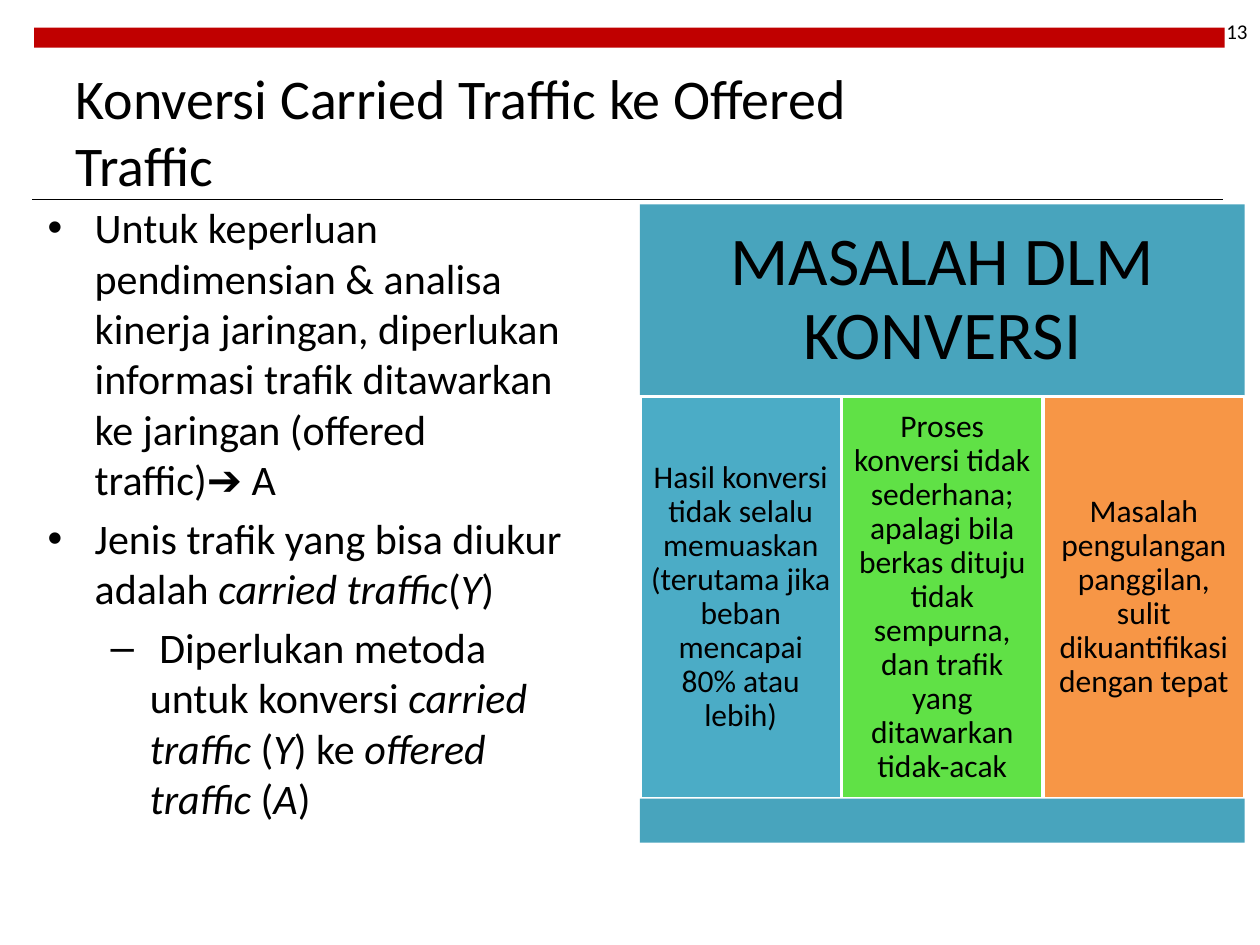
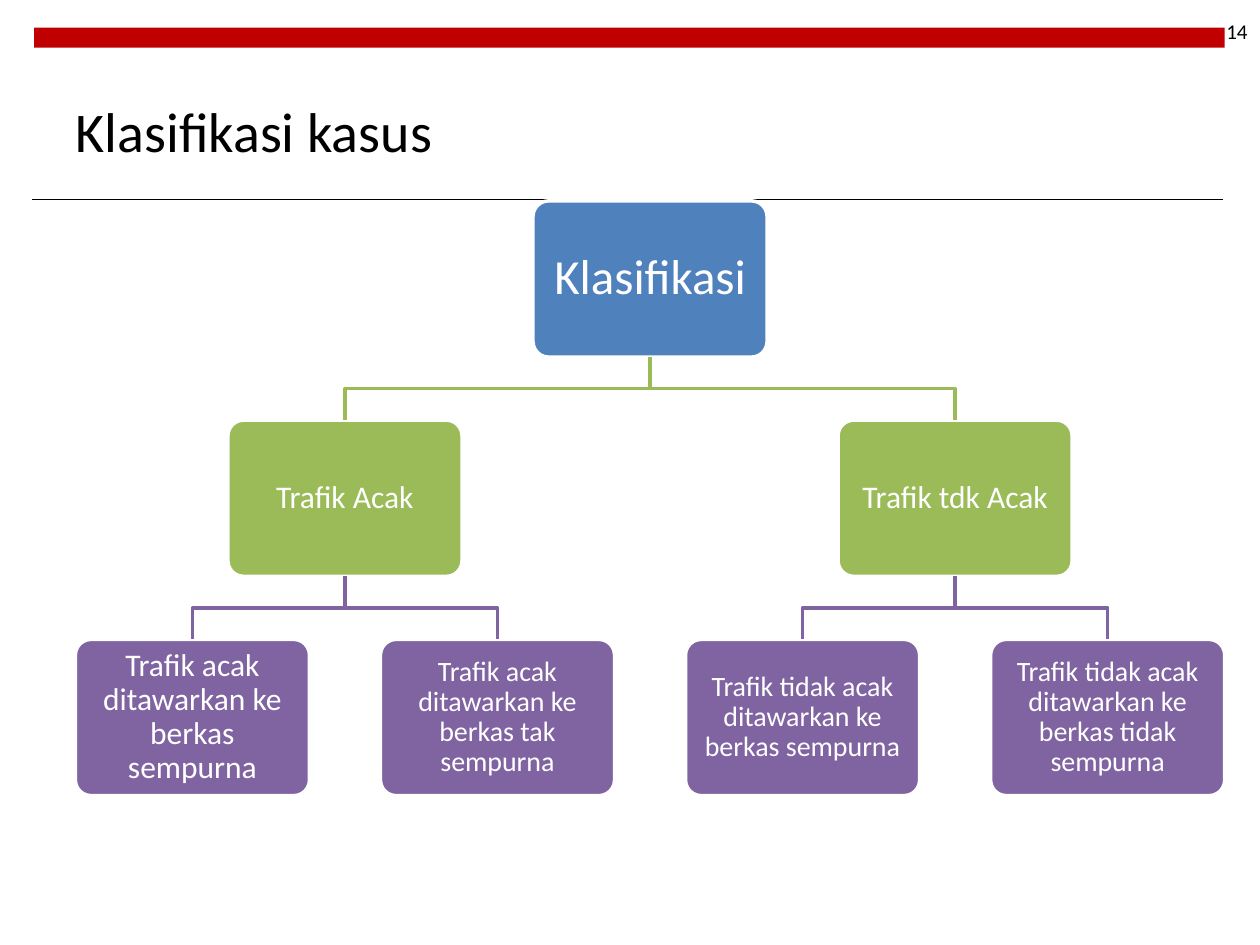
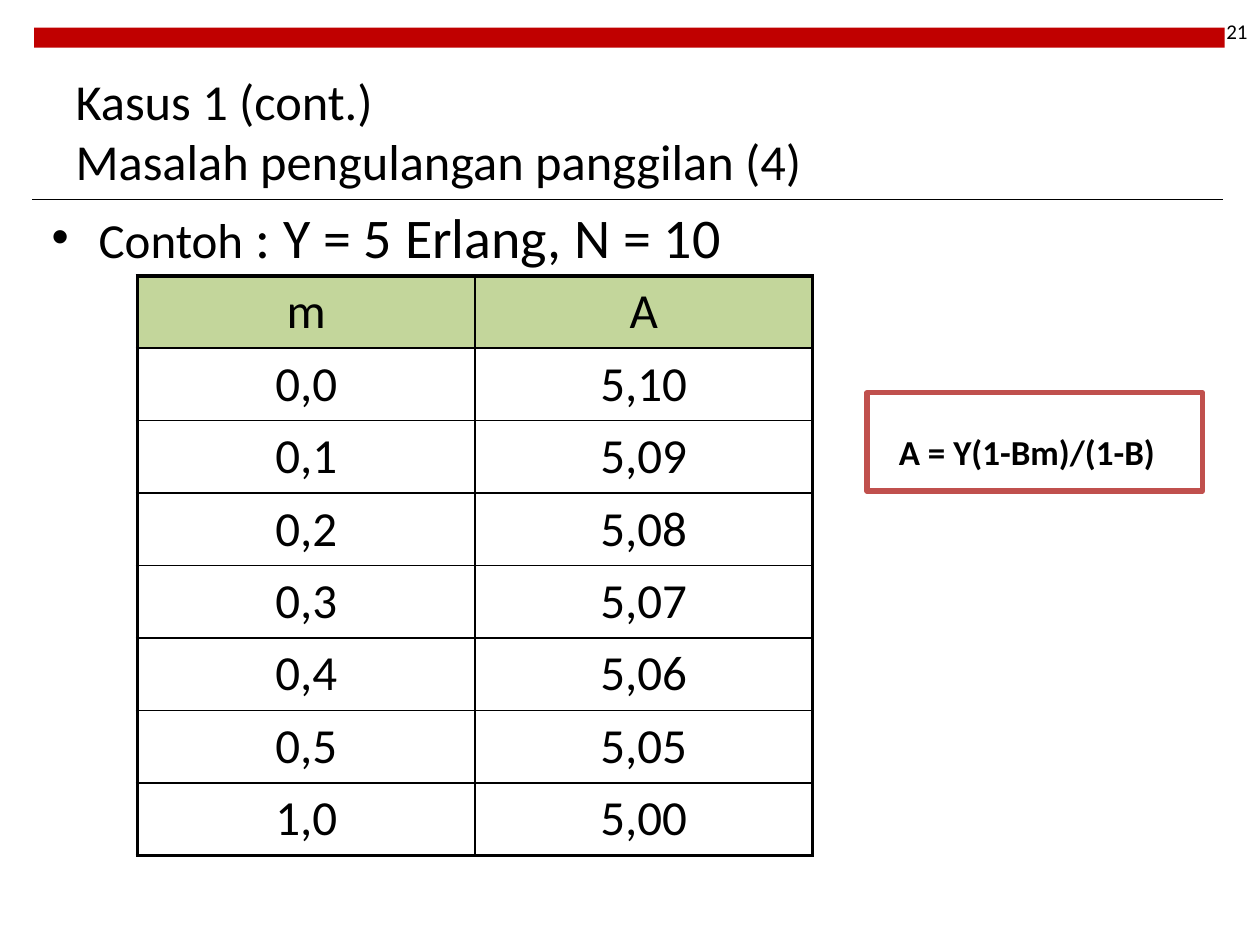
from pptx import Presentation
from pptx.dml.color import RGBColor
from pptx.enum.shapes import MSO_CONNECTOR, MSO_SHAPE
from pptx.enum.text import MSO_ANCHOR, MSO_AUTO_SIZE, PP_ALIGN
from pptx.oxml.ns import qn
from pptx.util import Cm, Pt
from lxml.etree import SubElement

FONT = "Calibri"
BLACK, WHITE = "000000", "FFFFFF"
RED, BRICK = "C00000", "C0504D"
TEAL, AQUA, LIME, ORANGE = "48A4BD", "4BACC6", "60E146", "F79646"
LEVEL_COLOURS = ["4F81BD", "9BBB59", "8064A2"]
HEADER_GREEN = "C3D69B"

NODE_WIDTH, NODE_HEIGHT = 4.72, 3.15
NODE_PITCH, LEVEL_PITCH = 6.15, 4.42

BULLETS = {0: ("•", 0.95, -0.95), 1: ("–", 2.06, -0.79)}


def colour(value):
    return RGBColor.from_string(value)


def style_run(run, size, ink=BLACK, bold=False, italic=False):
    run.font.name = FONT
    run.font.size = Pt(size)
    run.font.color.rgb = colour(ink)
    run.font.bold = bold
    run.font.italic = italic


def write(frame, text, size, ink=BLACK, align=PP_ALIGN.CENTER, anchor=MSO_ANCHOR.MIDDLE,
          inset=None, spacing=None, bold=False):
    frame.text = text
    frame.word_wrap = True
    frame.auto_size = MSO_AUTO_SIZE.NONE
    frame.vertical_anchor = anchor
    if inset is not None:
        frame.margin_left = frame.margin_right = Cm(inset)
        frame.margin_top = frame.margin_bottom = Cm(inset)
    for paragraph in frame.paragraphs:
        paragraph.alignment = align
        if spacing:
            paragraph.line_spacing = spacing
        for run in paragraph.runs:
            style_run(run, size, ink, bold)


def add_block(slide, kind, box, fill, outline=None, weight=2):
    block = slide.shapes.add_shape(kind, *map(Cm, box))
    block.shadow.inherit = False
    block.fill.solid()
    block.fill.fore_color.rgb = colour(fill)
    if outline:
        block.line.color.rgb = colour(outline)
        block.line.width = Pt(weight)
    else:
        block.line.fill.background()
    return block


def add_frame(deck, title, number, title_size=32):
    slide = deck.slides.add_slide(deck.slide_layouts[5])
    add_block(slide, MSO_SHAPE.RECTANGLE, (0.69, 0.56, 24.0, 0.4), RED)

    rule = slide.shapes.add_connector(MSO_CONNECTOR.STRAIGHT, Cm(0.65), Cm(4.03), Cm(24.65), Cm(4.03))
    rule.line.color.rgb = colour(BLACK)
    rule.line.width = Pt(0.6)
    SubElement(rule._element.spPr, qn("a:effectLst"))

    page = slide.shapes.add_textbox(Cm(23.5), Cm(0), Cm(1.9), Cm(1.27))
    write(page.text_frame, number, 12, align=PP_ALIGN.RIGHT)

    heading = slide.shapes.title
    heading.left, heading.top, heading.width, heading.height = map(Cm, (1.27, 1.32, 16.92, 2.62))
    write(heading.text_frame, title, title_size, align=PP_ALIGN.LEFT)
    return slide


def alternate(text, size):
    return [(part, size, index % 2 == 1) for index, part in enumerate(text.split("*")) if part]


def add_bullets(slide, box, items):
    frame = slide.shapes.add_textbox(*map(Cm, box)).text_frame
    frame.word_wrap = True
    for index, (level, parts) in enumerate(items):
        paragraph = frame.add_paragraph() if index else frame.paragraphs[0]
        symbol, margin, indent = BULLETS[level]
        properties = paragraph._p.get_or_add_pPr()
        properties.set("marL", str(Cm(margin)))
        properties.set("indent", str(Cm(indent)))
        SubElement(properties, qn("a:buFont"), typeface="Arial")
        SubElement(properties, qn("a:buChar"), char=symbol)
        paragraph.level = level
        if index:
            paragraph.space_before = Pt(4.8)
        for text, size, italic in parts:
            run = paragraph.add_run()
            run.text = text
            style_run(run, size, italic=italic)


def add_problem_panel(slide, box, heading, problems):
    left, top, width, height = box
    heading_height, footer_height = 3.87, 0.89
    column_width = width / len(problems)
    column_height = height - heading_height - footer_height

    banner = add_block(slide, MSO_SHAPE.RECTANGLE, (left, top, width, heading_height), TEAL)
    write(banner.text_frame, heading, 39, inset=0.41, spacing=0.9)
    for index, (text, fill) in enumerate(problems):
        column = (left + index * column_width, top + heading_height, column_width, column_height)
        problem = add_block(slide, MSO_SHAPE.RECTANGLE, column, fill, WHITE)
        write(problem.text_frame, text, 18, inset=0.18, spacing=0.9)
    add_block(slide, MSO_SHAPE.RECTANGLE, (left, top + height - footer_height, width, footer_height), TEAL)


def count_leaves(node):
    return sum(map(count_leaves, node[2])) or 1


def add_link(slide, start, end, ink):
    (x1, y1), (x2, y2) = start, end
    middle = (y1 + y2) / 2
    builder = slide.shapes.build_freeform(Cm(x1), Cm(y1))
    corners = [(x1, middle), (x2, middle), (x2, y2)]
    builder.add_line_segments([(Cm(x), Cm(y)) for x, y in corners], close=False)
    link = builder.convert_to_shape()
    link.shadow.inherit = False
    link.fill.background()
    link.line.color.rgb = colour(ink)
    link.line.width = Pt(2)


def add_branch(slide, node, left, top, level=0):
    text, size, children = node
    node_left = left + (count_leaves(node) - 1) * NODE_PITCH / 2
    centre = node_left + NODE_WIDTH / 2
    box = add_block(slide, MSO_SHAPE.ROUNDED_RECTANGLE, (node_left, top, NODE_WIDTH, NODE_HEIGHT),
                    LEVEL_COLOURS[level], WHITE)
    box.adjustments[0] = 0.1
    write(box.text_frame, text, size, WHITE, inset=0.18 if level else 0.3, spacing=0.9)

    child_top = top + LEVEL_PITCH
    for child in children:
        child_centre = add_branch(slide, child, left, child_top, level + 1)
        add_link(slide, (centre, top + NODE_HEIGHT), (child_centre, child_top), LEVEL_COLOURS[level + 1])
        left += count_leaves(child) * NODE_PITCH
    return centre


def add_borders(cell, weights):
    properties = cell._tc.get_or_add_tcPr()
    for side, weight in zip("LRTB", weights):
        border = SubElement(properties, qn(f"a:ln{side}"), w=str(Pt(weight)))
        fill = SubElement(border, qn("a:solidFill"))
        SubElement(fill, qn("a:srgbClr"), val=BLACK)


def add_value_table(slide, box, rows):
    last_row, last_column = len(rows) - 1, len(rows[0]) - 1
    table = slide.shapes.add_table(len(rows), len(rows[0]), *map(Cm, box)).table
    table.first_row = table.horz_banding = False
    for r, values in enumerate(rows):
        for c, value in enumerate(values):
            cell = table.cell(r, c)
            edges = (c == 0, c == last_column, r == 0, r == last_row)
            add_borders(cell, [2.25 if outer else 1 for outer in edges])
            if r == 0:
                cell.fill.solid()
                cell.fill.fore_color.rgb = colour(HEADER_GREEN)
            else:
                cell.fill.background()
            cell.text_frame.text = value
            paragraph = cell.text_frame.paragraphs[0]
            paragraph.alignment = PP_ALIGN.CENTER
            style_run(paragraph.runs[0], 28)


def add_formula(slide, box, text):
    formula = add_block(slide, MSO_SHAPE.RECTANGLE, box, WHITE, BRICK, 3)
    frame = formula.text_frame
    write(frame, text, 20, align=PP_ALIGN.LEFT, anchor=MSO_ANCHOR.TOP, spacing=1.5, bold=True)
    frame.margin_left, frame.margin_top = Cm(0.64), Cm(0.33)


def build_conversion(deck):
    slide = add_frame(deck, "Konversi Carried Traffic ke Offered Traffic", "13")
    add_bullets(slide, (0.71, 3.94, 11.23, 12.88), [
        (0, alternate("Untuk keperluan pendimensian & analisa kinerja jaringan, diperlukan informasi "
                      "trafik ditawarkan ke jaringan (offered traffic)➔ A", 24)),
        (0, alternate("Jenis trafik yang bisa diukur adalah *carried traffic*(*Y*)", 24)),
        (1, alternate(" Diperlukan metoda untuk konversi *carried traffic *(*Y*) ke "
                      "*offered traffic *(*A*)", 24)),
    ])
    add_problem_panel(slide, (12.9, 4.12, 12.19, 12.87), "MASALAH DLM KONVERSI", [
        ("Hasil konversi tidak selalu memuaskan (terutama jika beban mencapai 80% atau lebih)", AQUA),
        ("Proses konversi tidak sederhana; apalagi bila berkas dituju tidak sempurna, "
         "dan trafik yang ditawarkan tidak-acak", LIME),
        ("Masalah pengulangan panggilan, sulit dikuantifikasi dengan tepat", ORANGE),
    ])


def build_classification(deck):
    slide = add_frame(deck, "Klasifikasi kasus", "14")
    random_traffic = ("Trafik Acak", 18, [
        ("Trafik acak ditawarkan ke berkas sempurna", 18, []),
        ("Trafik acak ditawarkan ke berkas tak sempurna", 16, []),
    ])
    other_traffic = ("Trafik tdk Acak", 18, [
        ("Trafik tidak acak ditawarkan ke berkas sempurna", 16, []),
        ("Trafik tidak acak ditawarkan ke berkas tidak sempurna", 16, []),
    ])
    add_branch(slide, ("Klasifikasi", 28, [random_traffic, other_traffic]), 1.52, 4.05)


def build_repeated_calls(deck):
    slide = add_frame(deck, "Kasus 1 (cont.)\vMasalah pengulangan panggilan (4)", "21", 28.8)
    add_bullets(slide, (0.79, 3.96, 23.7, 14.17), [
        (0, [("Contoh", 28, False), (" : Y = 5 Erlang, N = 10", 32, False)]),
    ])
    add_value_table(slide, (2.77, 5.56, 13.61, 11.68), [
        ("m", "A"), ("0,0", "5,10"), ("0,1", "5,09"), ("0,2", "5,08"),
        ("0,3", "5,07"), ("0,4", "5,06"), ("0,5", "5,05"), ("1,0", "5,00"),
    ])
    add_formula(slide, (17.48, 7.92, 6.76, 1.98), "A = Y(1-Bm)/(1-B)")


def main():
    deck = Presentation()
    deck.slide_width, deck.slide_height = Cm(25.4), Cm(19.05)
    build_conversion(deck)
    build_classification(deck)
    build_repeated_calls(deck)
    deck.save("out.pptx")


if __name__ == "__main__":
    main()
